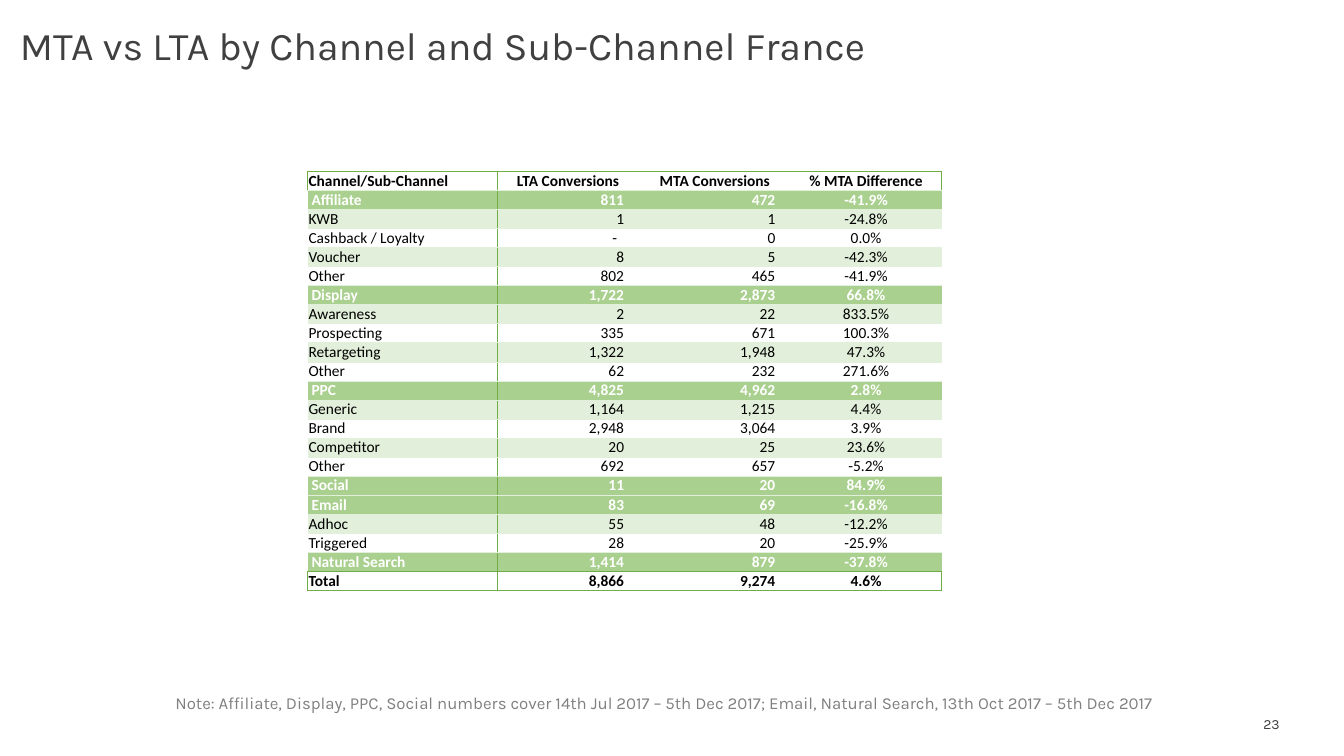
from pptx import Presentation
from pptx import util as u
from pptx.dml.color import RGBColor
from pptx.enum import text
from pptx.oxml import parse_xml
from pptx.oxml.ns import nsdecls

GREEN, MID, PALE = "70AD47", "A9D08E", "E2EFDA"
LEFT, CENTER, RIGHT = text.PP_ALIGN.LEFT, text.PP_ALIGN.CENTER, text.PP_ALIGN.RIGHT
TOP, BOTTOM = text.MSO_ANCHOR.TOP, text.MSO_ANCHOR.BOTTOM


def write(tf, words, size, color, font="Karla", bold=False, align=LEFT,
          anchor=TOP, wrap=True, spacing=1.0):
    tf.word_wrap, tf.vertical_anchor = wrap, anchor
    p = tf.paragraphs[0]
    p.alignment, p.line_spacing = align, spacing
    r = p.add_run()
    r.text = words
    r.font.name, r.font.size, r.font.bold = font, u.Pt(size), bold
    r.font.color.rgb = RGBColor.from_string(color)


def border(cell, side, line):
    """Draw one cell side from (colour, points), or clear it with None."""
    color, width = line or (None, 0)
    fill = f'<a:solidFill><a:srgbClr val="{color}"/></a:solidFill>' if line else "<a:noFill/>"
    cell._tc.get_or_add_tcPr().append(parse_xml(
        f'<a:ln{side} {nsdecls("a")} w="{u.Pt(width)}">{fill}</a:ln{side}>'))


prs = Presentation()
prs.slide_width, prs.slide_height = u.Inches(13.33), u.Inches(7.5)
s = prs.slides.add_slide(prs.slide_layouts[6])

# Title, note and page number
labels = [
    ((0.1, 0, 9.24, 0.73), "MTA vs LTA by Channel and Sub-Channel France",
     dict(size=28, color="404040", anchor=BOTTOM, spacing=0.9)),
    ((1.64, 6.82, 10.25, 0.3),
     "Note: Affiliate, Display, PPC, Social numbers cover 14th Jul 2017 – 5th Dec 2017; "
     "Email, Natural Search, 13th Oct 2017 – 5th Dec 2017",
     dict(size=12, color="808080", wrap=False)),
    ((12.17, 7.05, 0.62, 0.27), "23", dict(size=10, color="404040", align=RIGHT)),
]
for box, words, style in labels:
    tf = s.shapes.add_textbox(*map(u.Inches, box)).text_frame
    write(tf, words, **style)

# Table data
rows = [
    ("Channel/Sub-Channel", "LTA Conversions", "MTA Conversions", "% MTA Difference"),
    ("Affiliate", "811", "472", "-41.9%"),
    ("KWB", "1", "1", "-24.8%"),
    ("Cashback / Loyalty", "-", "0", "0.0%"),
    ("Voucher", "8", "5", "-42.3%"),
    ("Other", "802", "465", "-41.9%"),
    ("Display", "1,722", "2,873", "66.8%"),
    ("Awareness", "2", "22", "833.5%"),
    ("Prospecting", "335", "671", "100.3%"),
    ("Retargeting", "1,322", "1,948", "47.3%"),
    ("Other", "62", "232", "271.6%"),
    ("PPC", "4,825", "4,962", "2.8%"),
    ("Generic", "1,164", "1,215", "4.4%"),
    ("Brand", "2,948", "3,064", "3.9%"),
    ("Competitor", "20", "25", "23.6%"),
    ("Other", "692", "657", "-5.2%"),
    ("Social", "11", "20", "84.9%"),
    ("Email", "83", "69", "-16.8%"),
    ("Adhoc", "55", "48", "-12.2%"),
    ("Triggered", "28", "20", "-25.9%"),
    ("Natural Search", "1,414", "879", "-37.8%"),
    ("Total", "8,866", "9,274", "4.6%"),
]
channels = {"Affiliate", "Display", "PPC", "Social", "Email", "Natural Search"}
widths = [1.88, 1.41, 1.5, 1.5]
height = 4.16
last = len(rows) - 1

# Table grid
table = s.shapes.add_table(len(rows), len(widths), u.Inches(3.05), u.Inches(1.7),
                           u.Inches(sum(widths)), u.Inches(height)).table
table.first_row = table.horz_banding = False
for column, width in zip(table.columns, widths):
    column.width = u.Inches(width)
for row in table.rows:
    row.height = u.Inches(height / len(rows))

# Table cells
thick, thin, hair = (GREEN, 1), (GREEN, 0.5), (PALE, 0.5)
band = 0
for i, row in enumerate(rows):
    channel, edge = row[0] in channels, i in (0, last)
    band = 0 if channel else band + 1  # sub-channel stripes restart under each channel
    fill = None if edge else MID if channel else PALE if band % 2 else None
    for j, words in enumerate(row):
        cell = table.cell(i, j)
        number = i > 0 and j in (1, 2)
        cell.vertical_anchor = BOTTOM
        cell.margin_left = u.Inches(0.04 if channel and j == 0 else 0.01)
        cell.margin_right = u.Inches(0.22 if words == "-" else 0.15 if number else 0.01)
        cell.margin_top = cell.margin_bottom = 0
        write(cell.text_frame, words, 11, "FFFFFF" if channel else "000000",
              font="Calibri", bold=channel or edge, anchor=BOTTOM,
              align=LEFT if j == 0 else RIGHT if number else CENTER)
        border(cell, "L", thin if j == 1 else thick if edge and j == 0 else None)
        border(cell, "R", thin if j == 0 else thick if edge and j == 3 else None)
        border(cell, "T", thick if edge else hair)
        border(cell, "B", thick if i >= last - 1 else hair)
        if fill:
            cell.fill.solid()
            cell.fill.fore_color.rgb = RGBColor.from_string(fill)
        else:
            cell.fill.background()

prs.save("out.pptx")
